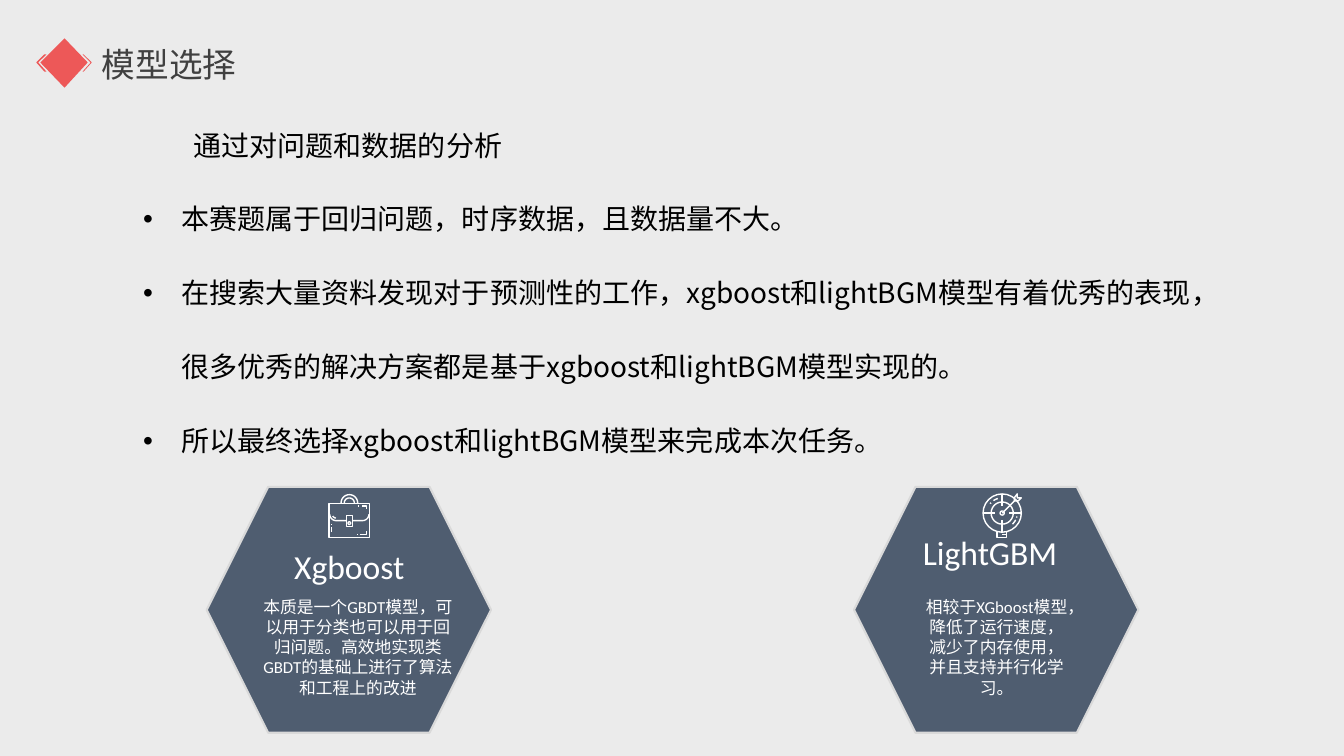
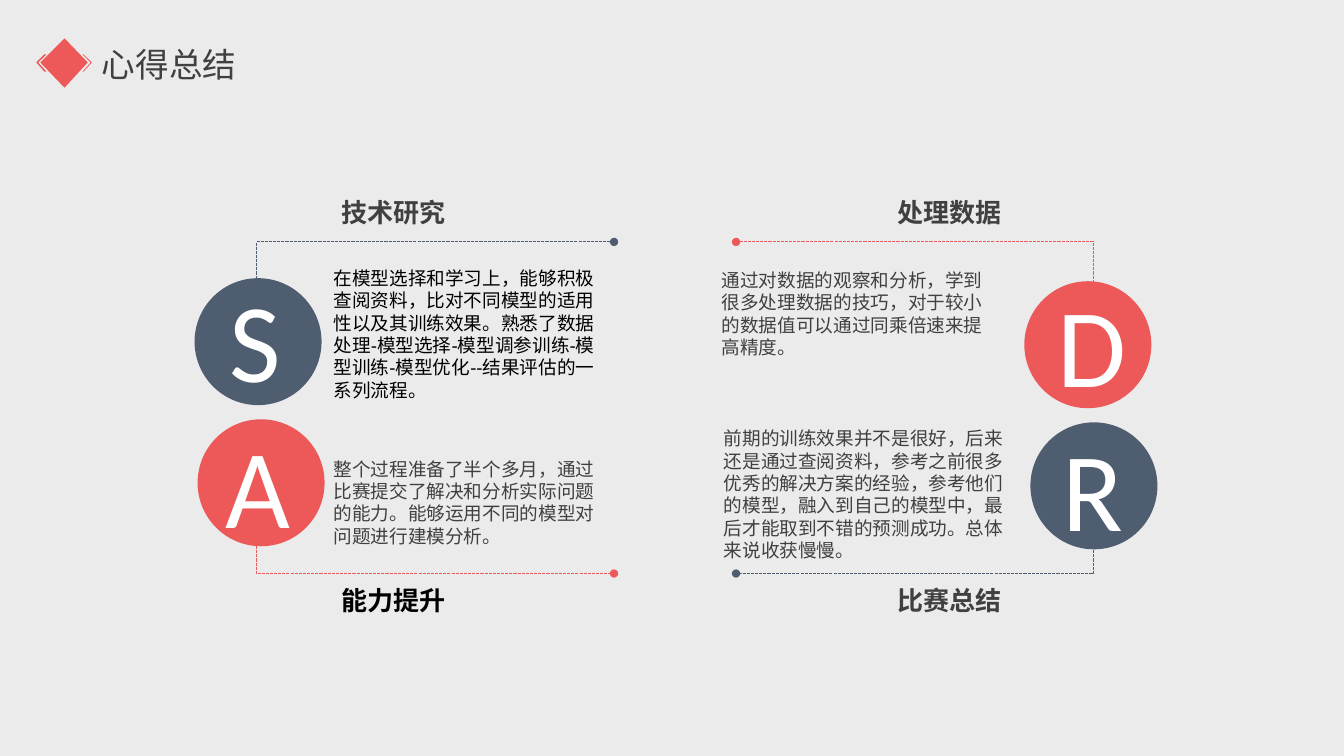
from math import cos, sin, radians

from lxml.etree import SubElement
from pptx import Presentation
from pptx.dml.color import RGBColor
from pptx.enum.dml import MSO_LINE_DASH_STYLE as Dash
from pptx.enum.shapes import MSO_SHAPE as Shape
from pptx.enum.text import MSO_ANCHOR as Anchor, MSO_AUTO_SIZE as AutoSize, PP_ALIGN as Align
from pptx.oxml.ns import qn
from pptx.util import Pt

PX = 9144  # one px is a hundredth of an inch
SANS, LATIN, PLAIN = "Noto Sans CJK SC", "Calibri", "Arial"
COLORS = {"paper": "EBEBEB", "red": "ED5858", "slate": "4F5D70", "edge": "D9D9D9",
          "gray": "404040", "black": "000000", "white": "FFFFFF"}


def arc(x, y, radius, start, end, steps=24):
    """Points on a circle, angles in degrees, clockwise from the right."""
    angles = [radians(start + (end - start) * i / steps) for i in range(steps + 1)]
    return [(x + radius * cos(a), y + radius * sin(a)) for a in angles]


def rect(left, top, right, bottom):
    return [(left, top), (right, top), (right, bottom), (left, bottom), (left, top)]


# Content: shared mark, three closed outlines
MARK = [
    [(82, 54), (83, 54), (91, 62), (83, 71), (82, 71), (90, 62)],
    [(44, 54), (46, 54), (38, 62), (46, 71), (44, 71), (36, 62)],
    [(64, 38), (87, 62), (64, 87), (40, 62)],
]

# Content: model choice
MODEL_TITLE = "模型选择"
MODEL_POINTS = [
    "通过对问题和数据的分析",
    "本赛题属于回归问题，时序数据，且数据量不大。",
    "在搜索大量资料发现对于预测性的工作，xgboost和lightBGM模型有着优秀的表现，"
    "很多优秀的解决方案都是基于xgboost和lightBGM模型实现的。",
    "所以最终选择xgboost和lightBGM模型来完成本次任务。",
]
BRIEFCASE = [
    rect(326.5, 499.5, 366.5, 533.5),
    arc(346.5, 499, 8.2, 180, 360),
    arc(346.5, 499, 5, 180, 360),
    arc(333.5, 510, 6.5, 180, 90) + [(343.5, 516.5)],
    [(349.5, 516.5)] + arc(359.5, 510, 6.5, 90, 0),
    rect(343.5, 511.5, 349.5, 522.5),
    arc(346.5, 519, 1.3, 0, 360),
    arc(333.5, 510, 4, 150, 95),
    [(357, 530.5), (363.5, 530.5), (363.5, 527)],
    [(359, 502), (363.5, 502), (363.5, 505)],
    [(329, 523), (329, 528)],
    [(329, 520), (329, 521)],
    [(354, 530.5), (355, 530.5)],
    [(355, 502), (356, 502)],
]
TARGET = [
    arc(994, 509, 19, 0, 360),
    arc(994, 509, 11, 0, 360),
    arc(994, 509, 2, 0, 360),
    [(994, 490), (994, 502)],
    [(994, 516), (994, 528)],
    [(975, 509), (987, 509)],
    [(1001, 509), (1013, 509)],
    [(994, 509), (1006, 497)],
    [(1006, 497), (1006, 494), (1009, 490), (1009, 494), (1013, 494), (1010, 497), (1006, 497)],
    [(989, 527), (989, 533), (998, 533), (998, 527)],
    [(994, 530), (998, 530)],
    arc(994, 509, 15, 235, 253),
    arc(994, 509, 15, 218, 222),
    arc(994, 509, 15, 27, 47),
    arc(994, 509, 15, 14, 18),
]
MODELS = [
    {"left": 205, "icon": BRIEFCASE,
     "name": "Xgboost", "name_box": (13, 537, 667, 50),
     "text": "本质是一个GBDT模型，可以用于分类也可以用于回归问题。"
             "高效地实现类GBDT的基础上进行了算法和工程上的改进",
     "text_box": (251, 587, 208, 111)},
    {"left": 847, "icon": TARGET,
     "name": "LightGBM", "name_box": (744, 523, 476, 50),
     "text": "相较于XGboost模型，降低了运行速度，减少了内存使用，并且支持并行化学习。",
     "text_box": (905, 587, 167, 111)},
]

# Content: lessons learned, one entry per quadrant
LESSON_TITLE = "心得总结"
LESSONS = [
    {"letter": "S", "right": False, "low": False, "color": "slate",
     "circle": (193, 276), "letter_at": (186, 262), "text_box": (321, 260, 283, 167),
     "head": "技术研究", "head_style": (SANS, "gray"), "text_style": (PLAIN, "black"),
     "text": "在模型选择和学习上，能够积极查阅资料，比对不同模型的适用性以及其训练效果。"
             "熟悉了数据处理-模型选择-模型调参训练-模型训练-模型优化--结果评估的一系列流程。"},
    {"letter": "D", "right": True, "low": False, "color": "red",
     "circle": (1016, 279), "letter_at": (1016, 267), "text_box": (706, 262, 283, 100),
     "head": "处理数据", "head_style": (SANS, "gray"), "text_style": (SANS, "gray"),
     "text": "通过对数据的观察和分析，学到很多处理数据的技巧，"
             "对于较小的数据值可以通过同乘倍速来提高精度。"},
    {"letter": "A", "right": False, "low": True, "color": "red",
     "circle": (196, 416), "letter_at": (188, 407), "text_box": (321, 449, 283, 100),
     "head": "能力提升", "head_style": (PLAIN, "black"), "text_style": (SANS, "gray"),
     "text": "整个过程准备了半个多月，通过比赛提交了解决和分析实际问题的能力。"
             "能够运用不同的模型对问题进行建模分析。"},
    {"letter": "R", "right": True, "low": True, "color": "slate",
     "circle": (1022, 419), "letter_at": (1016, 410), "text_box": (708, 419, 309, 145),
     "head": "比赛总结", "head_style": (SANS, "gray"), "text_style": (SANS, "gray"),
     "text": "前期的训练效果并不是很好，后来还是通过查阅资料，参考之前很多优秀的解决方案的经验，"
             "参考他们的模型，融入到自己的模型中，最后才能取到不错的预测成功。总体来说收获慢慢。"},
]


def emu(*lengths):
    return [round(length * PX) for length in lengths]


def rgb(name):
    return RGBColor.from_string(COLORS[name])


def style_run(span, size, font, color, bold=False):
    span.font.size, span.font.name, span.font.bold = Pt(size), font, bold
    span.font.color.rgb = rgb(color)
    SubElement(span._r.get_or_add_rPr(), qn("a:ea")).set("typeface", SANS)


def write(box, text, size, font, color, align=Align.LEFT, bold=False, anchor=Anchor.TOP):
    frame = box.text_frame
    frame.text = text
    frame.word_wrap, frame.auto_size, frame.vertical_anchor = True, AutoSize.NONE, anchor
    for para in frame.paragraphs:
        para.alignment = align
        for span in para.runs:
            style_run(span, size, font, color, bold)


def add_text(page, place, *args, **options):
    write(page.shapes.add_textbox(*emu(*place)), *args, **options)


def add_solid(page, kind, place, color, edge=None):
    shape = page.shapes.add_shape(kind, *emu(*place))
    shape.shadow.inherit = False
    shape.fill.solid()
    shape.fill.fore_color.rgb = rgb(color)
    if edge:
        shape.line.color.rgb = rgb(edge)
        shape.line.width = Pt(1.5)
    else:
        shape.line.fill.background()


def add_outline(shapes, contours, close):
    builder = None
    for contour in contours:
        start, *rest = [emu(*point) for point in contour]
        if builder is None:
            builder = shapes.build_freeform(*start)
        else:
            builder.move_to(*start)
        builder.add_line_segments(rest, close=close)
    shape = builder.convert_to_shape()
    shape.shadow.inherit = False
    return shape


def add_stroke(shapes, points, color, width):
    shape = add_outline(shapes, [points], close=False)
    shape.fill.background()
    shape.line.color.rgb = rgb(color)
    shape.line.width = Pt(width)
    return shape


def add_bracket(page, points, color):
    line = add_stroke(page.shapes, points, color, 0).line
    line.dash_style = Dash.SQUARE_DOT
    for end in ("a:headEnd", "a:tailEnd"):
        SubElement(line._get_or_add_ln(), qn(end)).set("type", "oval")


def set_bullet(para, char=None):
    props = para._p.get_or_add_pPr()
    margin, indent = (38, -38) if char else (0, 50)
    props.set("marL", str(margin * PX))
    props.set("indent", str(indent * PX))
    if char:
        SubElement(props, qn("a:buFont")).set("typeface", PLAIN)
        SubElement(props, qn("a:buChar")).set("char", char)
    else:
        SubElement(props, qn("a:buNone"))


def place_holder(holder, place):
    holder.left, holder.top, holder.width, holder.height = emu(*place)


def add_page(deck, layout, title):
    page = deck.slides.add_slide(deck.slide_layouts[layout])
    place_holder(page.shapes.title, (91, 39, 170, 50))
    write(page.shapes.title, title, 24, SANS, "gray")
    return page


def decorate_master(deck, page):
    """Background and mark are shared, so they live on the master."""
    fill = deck.slide_master.background.fill
    fill.solid()
    fill.fore_color.rgb = rgb("paper")
    mark = add_outline(page.shapes, MARK, close=True)
    mark.fill.solid()
    mark.fill.fore_color.rgb = rgb("red")
    mark.line.fill.background()
    deck.slide_master.shapes.element.append(mark.element)


def build_models(deck):
    page = add_page(deck, 1, MODEL_TITLE)
    decorate_master(deck, page)

    # Reasons: a lead line, then bullets
    body = page.placeholders[1]
    place_holder(body, (132, 82, 1069, 454))
    write(body, "\n".join(MODEL_POINTS), 20, SANS, "black")
    for i, para in enumerate(body.text_frame.paragraphs):
        para.line_spacing, para.space_before = 2.2, Pt(0)
        set_bullet(para, "•" if i else None)

    # Hexagon cards
    for model in MODELS:
        add_solid(page, Shape.HEXAGON, (model["left"], 483, 282, 244), "slate", "edge")
        icon = page.shapes.add_group_shape()
        for points in model["icon"]:
            add_stroke(icon.shapes, points, "white", 1)
        add_text(page, model["name_box"], model["name"], 24, LATIN, "white", Align.CENTER)
        add_text(page, model["text_box"], model["text"], 12, LATIN, "white", Align.CENTER)


def build_lessons(deck):
    page = add_page(deck, 5, LESSON_TITLE)
    for lesson in LESSONS:
        right, low, color = lesson["right"], lesson["low"], lesson["color"]
        # Dashed bracket, mirrored by side and row
        near, far = (1085, 730) if right else (254, 609)
        inner, outer = (489, 569) if low else (321, 240)
        add_bracket(page, [(near, inner), (near, outer), (far, outer)], color)
        # Letter badge
        add_solid(page, Shape.OVAL, (*lesson["circle"], 126, 126), color)
        add_text(page, (*lesson["letter_at"], 135, 145), lesson["letter"], 80, LATIN, "white",
                 Align.CENTER, anchor=Anchor.MIDDLE)
        # Heading and text
        head_box = (811 if right else 329, 575 if low else 190, 192, 41)
        add_text(page, head_box, lesson["head"], 18.6, *lesson["head_style"],
                 Align.RIGHT if right else Align.LEFT, bold=True)
        add_text(page, lesson["text_box"], lesson["text"], 13.3, *lesson["text_style"])


def main():
    deck = Presentation()
    deck.slide_width, deck.slide_height = emu(1333, 750)
    build_models(deck)
    build_lessons(deck)
    deck.save("out.pptx")


if __name__ == "__main__":
    main()
